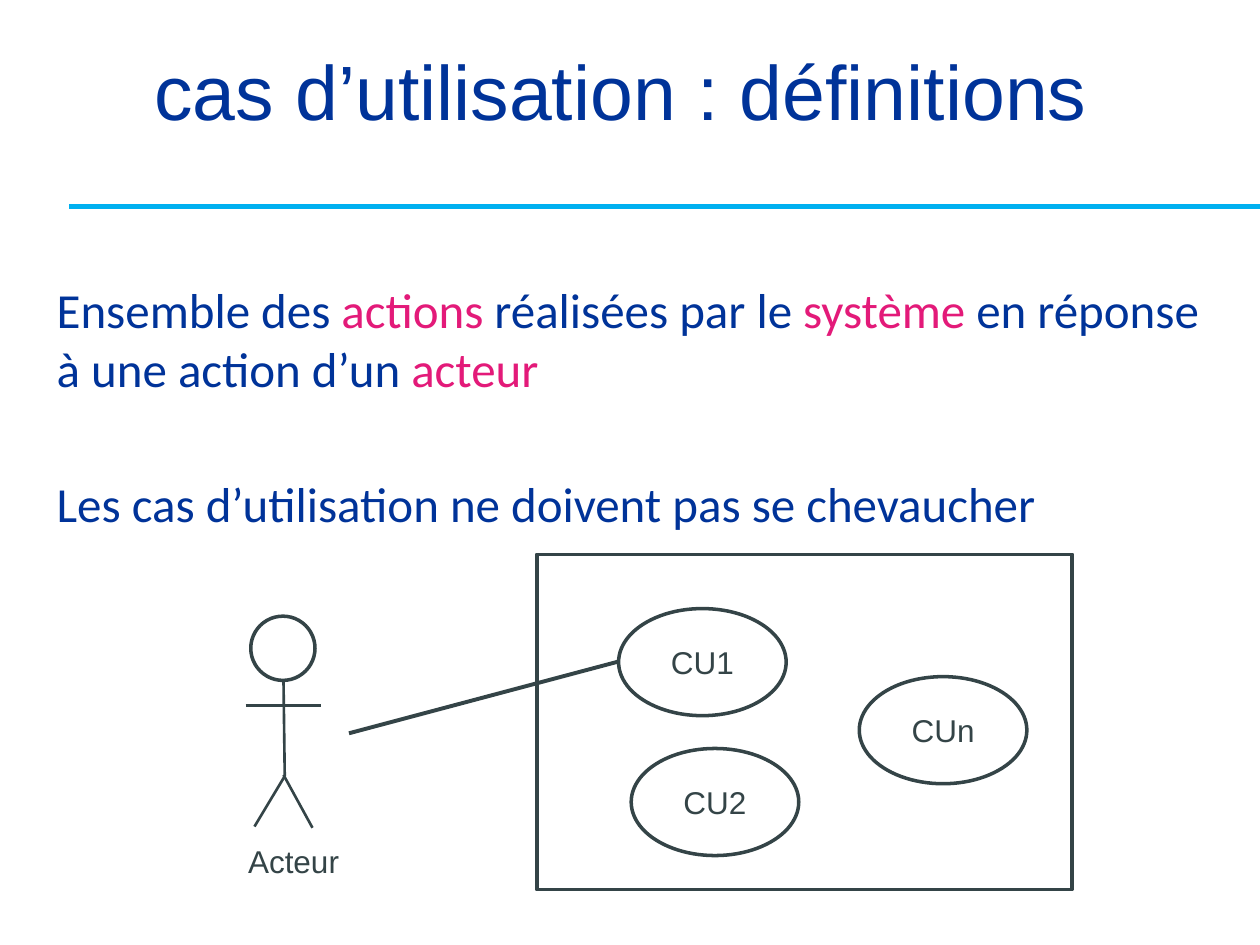
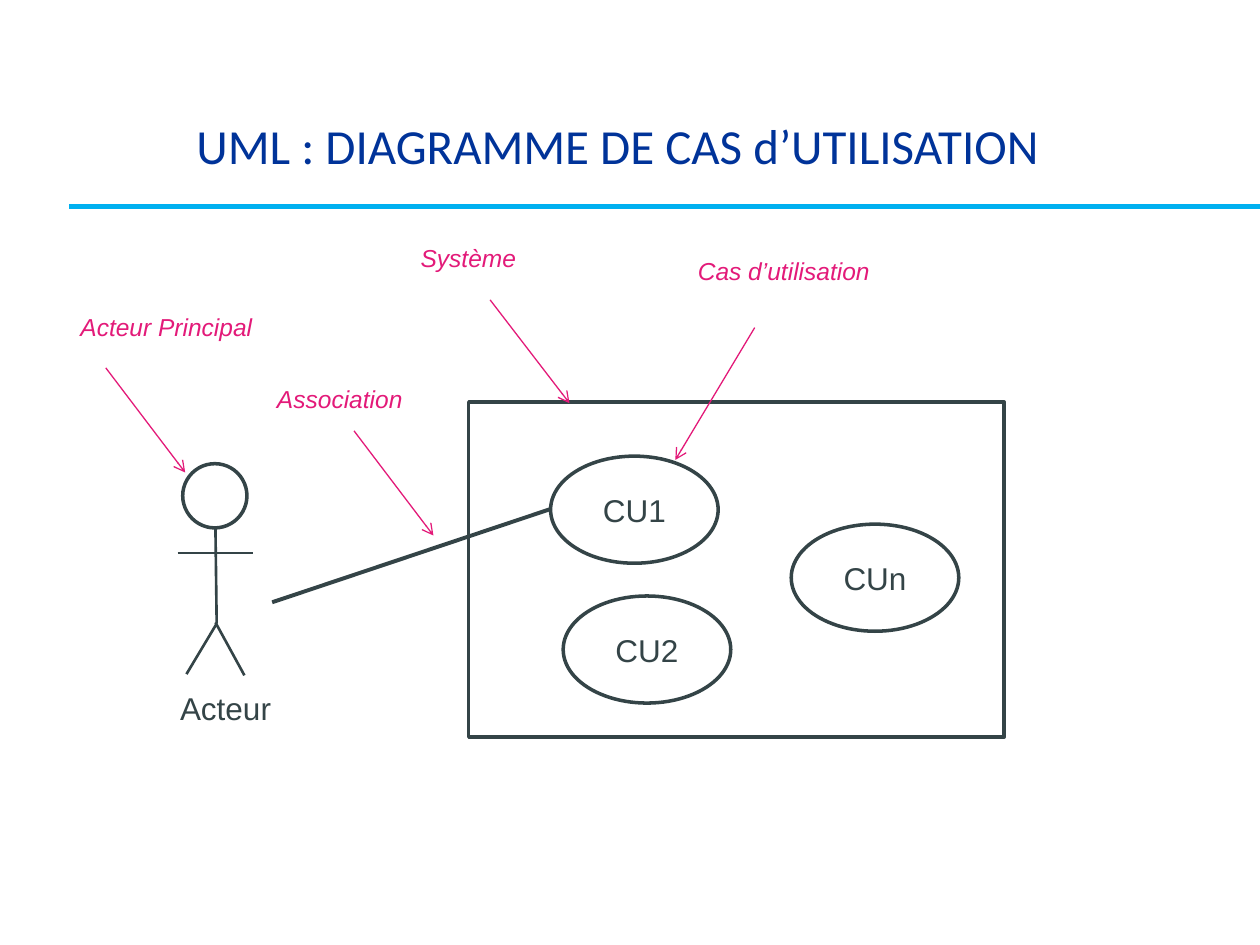
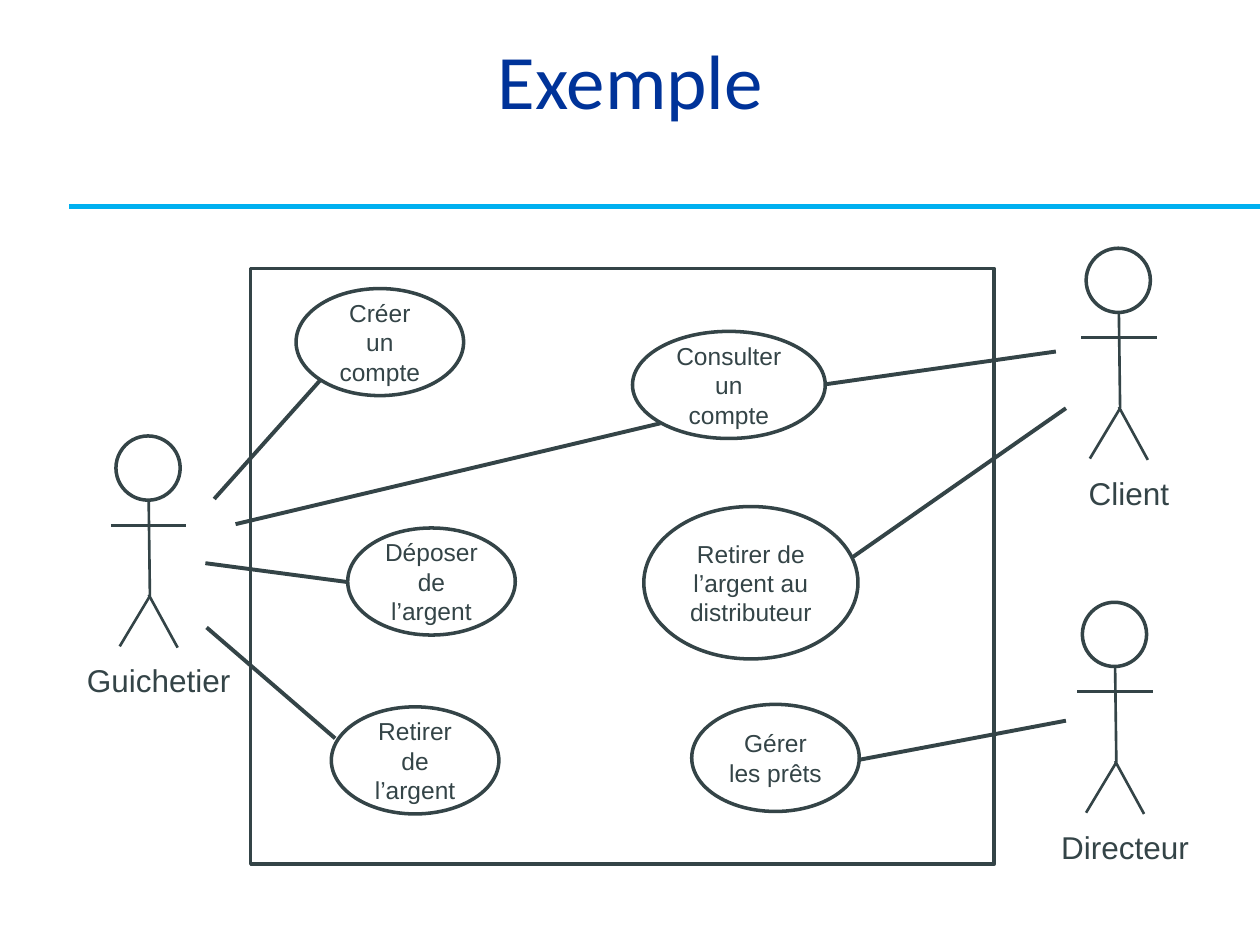
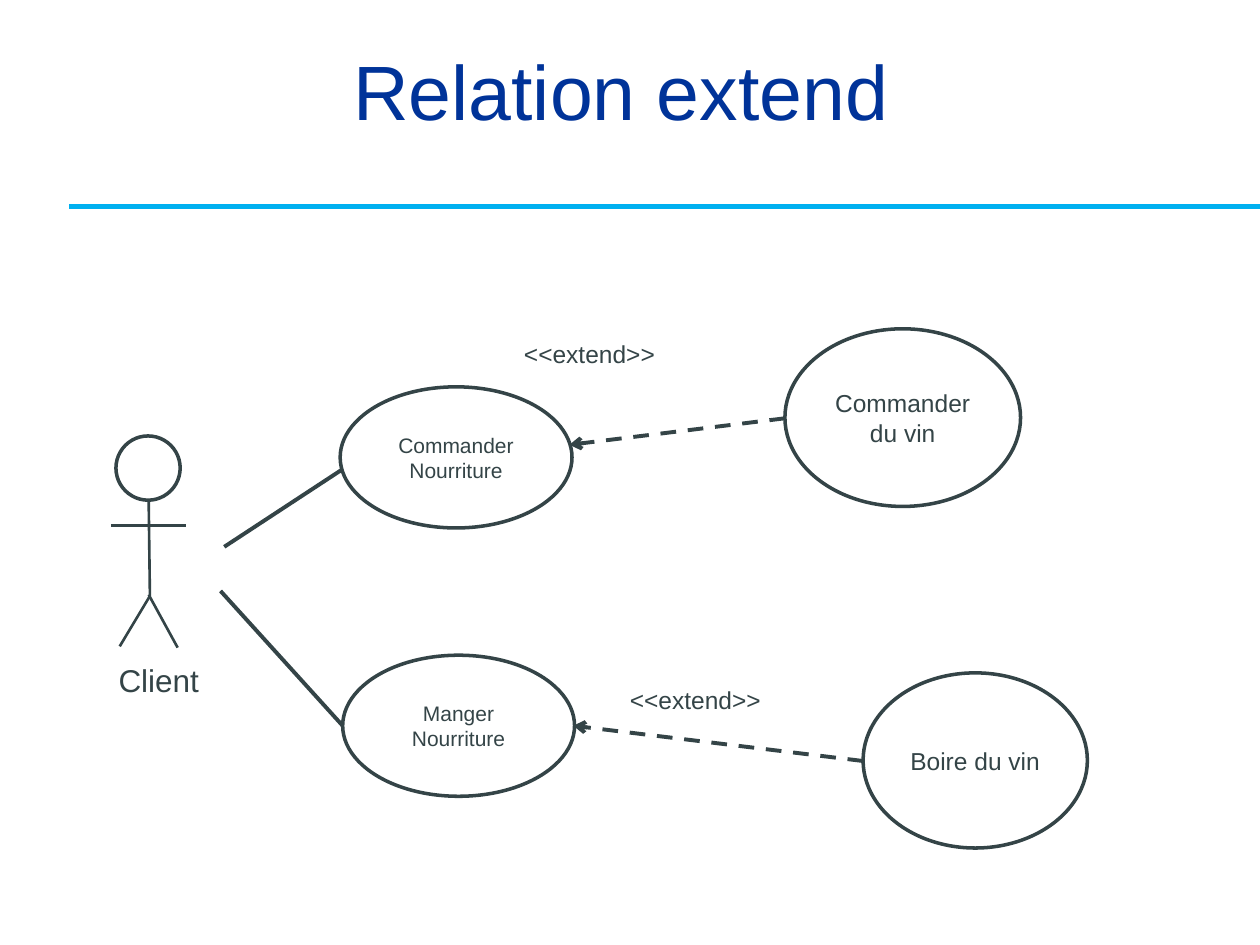
from lxml import etree
from pptx import Presentation
from pptx.dml.color import RGBColor
from pptx.enum.dml import MSO_LINE
from pptx.enum.shapes import MSO_CONNECTOR, MSO_SHAPE
from pptx.enum.text import MSO_ANCHOR, MSO_AUTO_SIZE, PP_ALIGN
from pptx.oxml.ns import qn
from pptx.util import Inches, Pt

STRAIGHT = MSO_CONNECTOR.STRAIGHT
OVAL, RECTANGLE = MSO_SHAPE.OVAL, MSO_SHAPE.RECTANGLE
CENTER, LEFT = PP_ALIGN.CENTER, PP_ALIGN.LEFT
MIDDLE = MSO_ANCHOR.MIDDLE
DASH = MSO_LINE.DASH
NO_FIT, GROW = MSO_AUTO_SIZE.NONE, MSO_AUTO_SIZE.SHAPE_TO_FIT_TEXT

LAYOUT_CONTENT, LAYOUT_TITLE_ONLY = 1, 5
COLORS = {"title": "003399", "accent": "E31A79", "ink": "344447", "rule": "00B0F0"}
TITLE_BOX = (0.43, 0.29, 9, 1.25)
CASE_SIZE = (1.33, 0.85)


def color(name):
    return RGBColor.from_string(COLORS[name])


def inches(*lengths):
    return [Inches(length) for length in lengths]


class Deck:
    """Holds the shared style and the slide being built."""

    def __init__(self):
        self.presentation = Presentation()
        self.presentation.slide_width = Inches(10)
        self.presentation.slide_height = Inches(7.5)
        self.slide = None

    # Slide frame
    def new_slide(self, title, box=TITLE_BOX, size=44, font="Arial",
                  layout=LAYOUT_TITLE_ONLY):
        self.slide = self.presentation.slides.add_slide(
            self.presentation.slide_layouts[layout])
        placeholder = self.slide.shapes.title
        self.place(placeholder, box)
        frame = placeholder.text_frame
        frame.auto_size = NO_FIT
        frame.vertical_anchor = MIDDLE
        paragraph = frame.paragraphs[0]
        paragraph.alignment = CENTER
        paragraph.line_spacing = Pt(23)
        self.run(paragraph, title, "title", size, font)

    def title_rule(self):
        """Draw the line under the titles and move it to the slide master."""
        rule = self.line((0.55, 1.64), (10, 1.64), 2.75, "rule")
        rule.element.nvCxnSpPr.cNvPr.id = 7
        self.presentation.slide_master.shapes.element.append(rule.element)

    def place(self, shape, box):
        for name, length in zip(("left", "top", "width", "height"), box):
            setattr(shape, name, Inches(length))

    # Text
    def run(self, paragraph, text, color_name="ink", size=18, font="Arial",
            italic=False):
        run = paragraph.add_run()
        run.text = text
        formats = {"name": font, "size": Pt(size), "italic": italic}
        for name, value in formats.items():
            setattr(run.font, name, value)
        run.font.color.rgb = color(color_name)

    def body(self, box, paragraphs, margin_top, gap):
        """Fill the body; each paragraph is a list of (text, colour) pairs."""
        placeholder = self.slide.placeholders[1]
        self.place(placeholder, box)
        frame = placeholder.text_frame
        frame.auto_size = NO_FIT
        frame.margin_top = Inches(margin_top)
        for index, parts in enumerate(paragraphs):
            paragraph = frame.add_paragraph() if index else frame.paragraphs[0]
            paragraph.space_before = Pt(gap if index else 0)
            properties = paragraph.element.get_or_add_pPr() if hasattr(
                paragraph, "element") else paragraph._p.get_or_add_pPr()
            properties.set("marL", "0")
            properties.set("indent", "0")
            etree.SubElement(properties, qn("a:buNone"))
            for text, color_name in parts:
                self.run(paragraph, text, color_name, 28, "Calibri")

    def label(self, text, box, size=14, color_name="ink", align=LEFT, italic=False):
        frame = self.slide.shapes.add_textbox(*inches(*box)).text_frame
        frame.word_wrap = True
        frame.auto_size = GROW
        paragraph = frame.paragraphs[0]
        paragraph.alignment = align
        self.run(paragraph, text, color_name, size, italic=italic)

    # Shapes and lines
    def outline(self, kind, box, shapes=None):
        shapes = shapes or self.slide.shapes
        shape = shapes.add_shape(kind, *inches(*box))
        shape.shadow.inherit = False
        shape.fill.background()
        shape.line.color.rgb = color("ink")
        shape.line.width = Pt(2)
        return shape

    def use_case(self, text, box, size=14):
        frame = self.outline(OVAL, box).text_frame
        frame.vertical_anchor = MIDDLE
        for index, line in enumerate(text.split("\n")):
            paragraph = frame.add_paragraph() if index else frame.paragraphs[0]
            paragraph.alignment = CENTER
            self.run(paragraph, line, size=size)

    def line(self, start, end, width=2.25, color_name="ink", dash=None,
             arrow=False, shapes=None):
        shapes = shapes or self.slide.shapes
        connector = shapes.add_connector(STRAIGHT, *inches(*start, *end))
        connector.line.color.rgb = color(color_name)
        connector.line.width = Pt(width)
        if dash:
            connector.line.dash_style = dash
        properties = connector.element.spPr
        if arrow:
            etree.SubElement(properties.find(qn("a:ln")), qn("a:tailEnd"), type="arrow")
        etree.SubElement(properties, qn("a:effectLst"))
        return connector

    # Diagram parts
    def actor(self, name, left, top):
        """Stick figure whose head starts at left, top, with its name below."""
        shapes = self.slide.shapes.add_group_shape().shapes
        self.outline(OVAL, (left, top, 0.51, 0.51), shapes)
        limbs = [
            ((0.26, 0.51), (0.27, 1.27)),  # trunk
            ((-0.04, 0.71), (0.56, 0.71)),  # arms
            ((0.27, 1.27), (0.03, 1.67)),  # left leg
            ((0.26, 1.26), (0.49, 1.68)),  # right leg
        ]
        for limb in limbs:
            start, end = [(left + x, top + y) for x, y in limb]
            self.line(start, end, 1.5, shapes=shapes)
        self.label(name, (left - 0.58, top + 1.74, 1.84, 0.4), 18, align=CENTER)

    def system(self, left, top, association_start):
        """Generic system with three use cases and one actor."""
        self.actor("Acteur", left - 2.27, top + 0.49)
        self.outline(RECTANGLE, (left, top, 4.25, 2.66))
        cases = [("CU1", 0.65, 0.43), ("CU2", 0.75, 1.54), ("CUn", 2.56, 0.97)]
        for name, x, y in cases:
            self.use_case(name, (left + x, top + y, *CASE_SIZE), 18)
        self.line(association_start, (left + 0.65, top + 0.85))


def definitions_slide(deck):
    deck.new_slide("cas d’utilisation : définitions", layout=LAYOUT_CONTENT)
    deck.title_rule()
    deck.body((0.35, 1.78, 9.37, 4.74), [
        [("Ensemble des ", "title"), ("actions", "accent"),
         (" réalisées par le ", "title"), ("système", "accent"),
         (" en réponse à une action d’un ", "title"), ("acteur", "accent")],
        [("Les cas d’utilisation ne doivent pas se chevaucher", "title")],
    ], margin_top=0.44, gap=43.5)
    deck.system(4.26, 4.4, (2.77, 5.82))


def diagram_slide(deck):
    deck.new_slide("UML : DIAGRAMME DE CAS d’UTILISATION", (0.4, 0.6, 9, 1.25),
                   28, "Calibri")
    deck.system(3.72, 3.19, (2.16, 4.78))
    # Each caption: text, left, top, arrow start, arrow end
    captions = [
        ("Acteur Principal", 0.54, 2.43, (0.84, 2.92), (1.47, 3.75)),
        ("Association", 2.1, 3, (2.81, 3.42), (3.44, 4.25)),
        ("Système", 3.24, 1.88, (3.89, 2.38), (4.52, 3.2)),
        ("Cas d’utilisation", 5.44, 1.98, (5.99, 2.6), (5.36, 3.65)),
    ]
    for text, left, top, start, end in captions:
        deck.line(start, end, 0.75, "accent", arrow=True)
        deck.label(text, (left, top, 1.76, 0.34), color_name="accent", italic=True)


def example_slide(deck):
    deck.new_slide("Exemple", (0.2, 0.21, 9.61, 1.25), font="Calibri")
    deck.outline(RECTANGLE, (1.99, 2.13, 5.9, 4.73))
    actors = [("Guichetier", 0.92, 3.46), ("Client", 8.62, 1.97),
              ("Directeur", 8.59, 4.78)]
    for actor in actors:
        deck.actor(*actor)
    use_cases = [
        ("Créer un compte", (2.35, 2.29, *CASE_SIZE)),
        ("Déposer de l’argent", (2.76, 4.19, *CASE_SIZE)),
        ("Retirer de l’argent", (2.63, 5.61, *CASE_SIZE)),
        ("Consulter un compte", (5.02, 2.63, 1.53, 0.85)),
        ("Retirer de l’argent au distributeur", (5.11, 4.02, 1.7, 1.21)),
        ("Gérer les prêts", (5.49, 5.59, *CASE_SIZE)),
    ]
    for use_case in use_cases:
        deck.use_case(*use_case)
    associations = [
        ((1.7, 3.96), (2.54, 3.02)),
        ((1.87, 4.16), (5.24, 3.36)),
        ((1.63, 4.47), (2.76, 4.62)),
        ((1.64, 4.98), (2.66, 5.86)),
        ((6.55, 3.05), (8.38, 2.79)),
        ((6.77, 4.42), (8.46, 3.24)),
        ((6.82, 6.03), (8.46, 5.72)),
    ]
    for association in associations:
        deck.line(*association)


def extend_slide(deck):
    deck.new_slide("Relation extend")
    deck.actor("Client", 0.92, 3.46)
    use_cases = [
        ("Commander\nNourriture", (2.7, 3.07, 1.84, 1.12), 12),
        ("Manger\nNourriture", (2.72, 5.2, 1.84, 1.12), 12),
        ("Commander du vin", (6.23, 2.61, 1.87, 1.41), 14),
        ("Boire du vin", (6.85, 5.34, 1.78, 1.39), 14),
    ]
    for use_case in use_cases:
        deck.use_case(*use_case)
    for association in [((1.78, 4.34), (2.71, 3.73)), ((1.75, 4.69), (2.72, 5.76))]:
        deck.line(*association)
    # Each extension: arrow start, arrow end, label position
    extensions = [
        ((6.23, 3.32), (4.52, 3.53), (4.06, 2.64)),
        ((6.85, 6.04), (4.55, 5.76), (4.9, 5.39)),
    ]
    for start, end, position in extensions:
        deck.line(start, end, dash=DASH, arrow=True)
        deck.label("<<extend>>", (*position, 1.99, 0.34))


def main():
    deck = Deck()
    for build_slide in (definitions_slide, diagram_slide, example_slide, extend_slide):
        build_slide(deck)
    deck.presentation.save("out.pptx")


if __name__ == "__main__":
    main()
